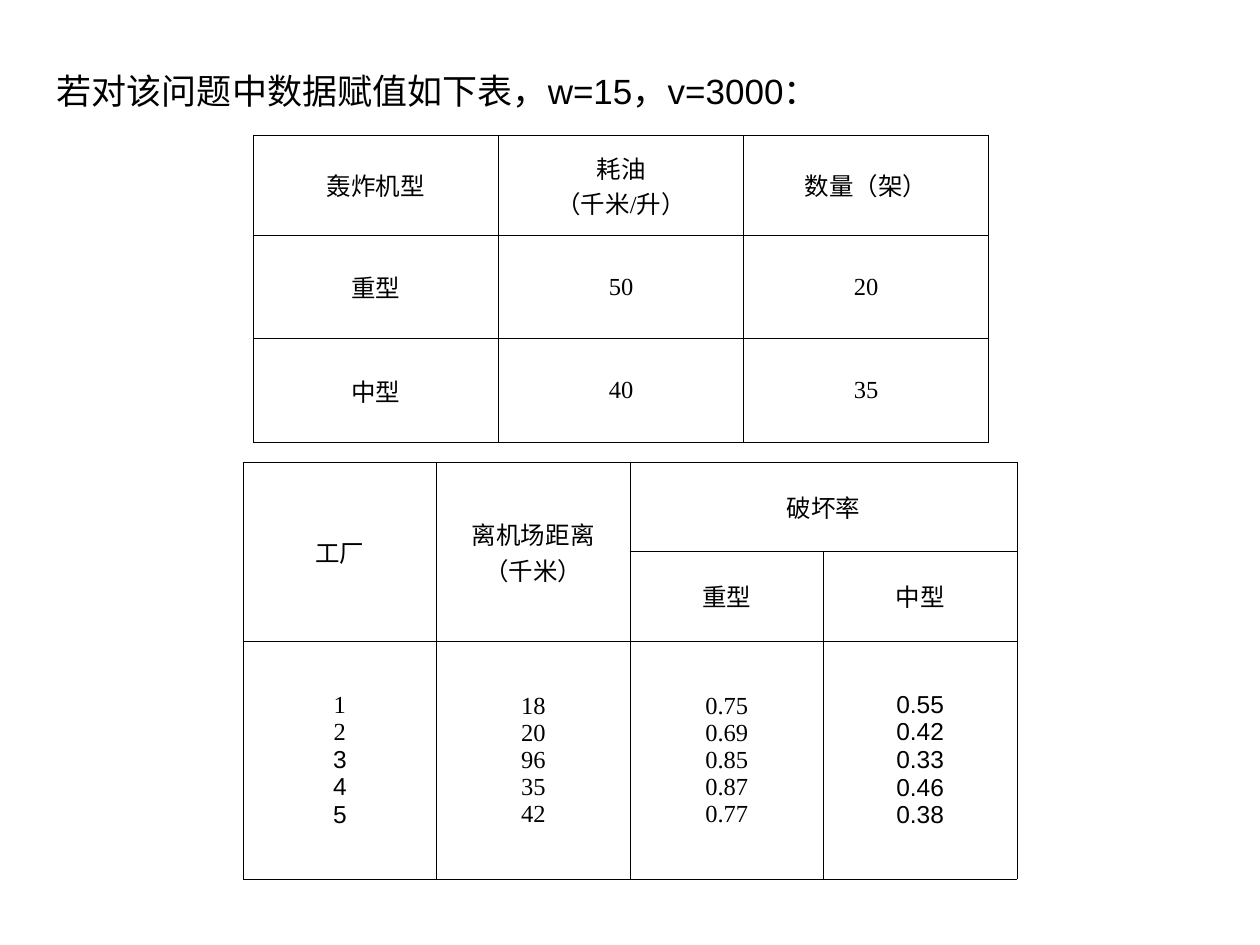
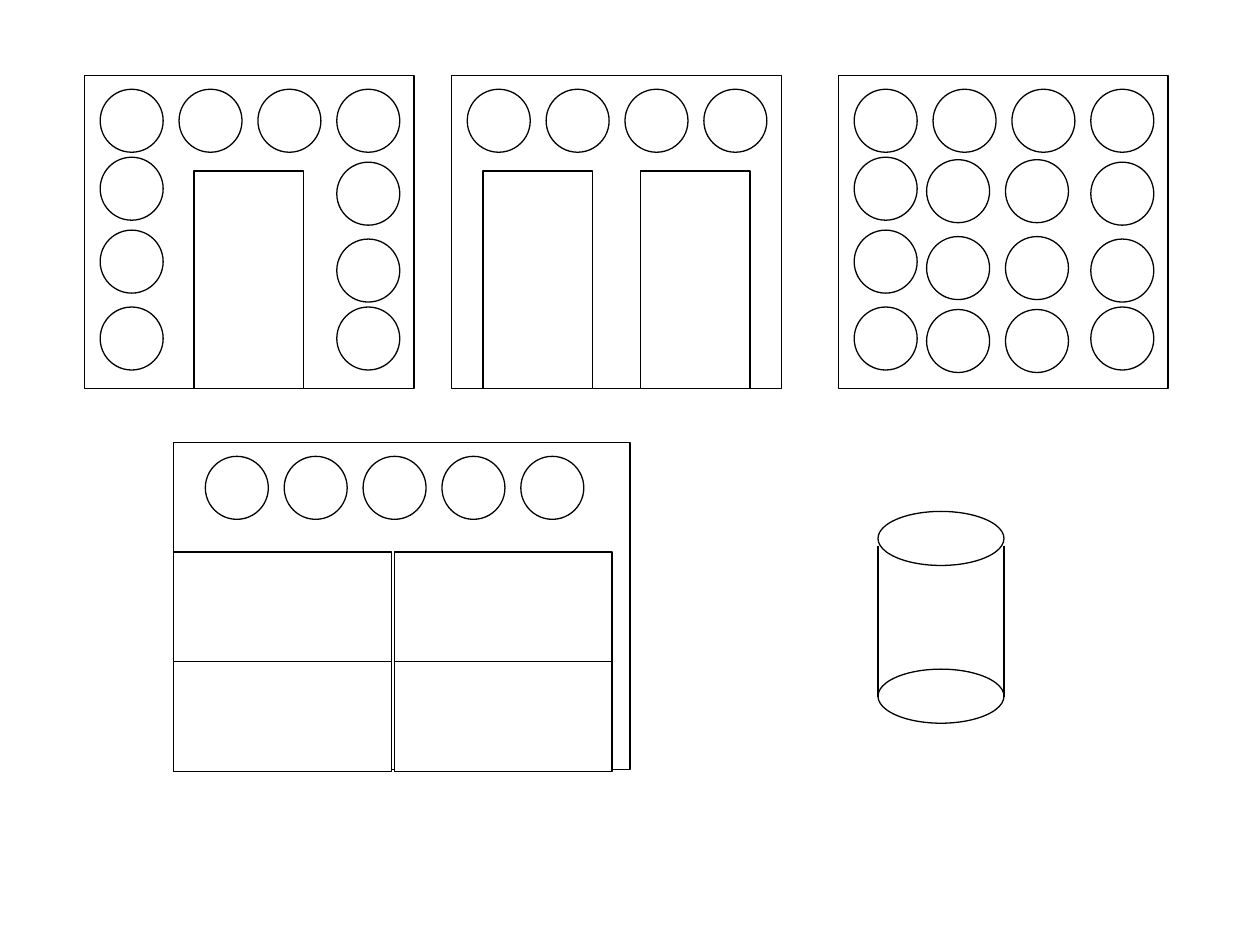
from lxml.etree import SubElement
from pptx import Presentation
from pptx.dml.color import RGBColor
from pptx.enum.shapes import MSO_CONNECTOR, MSO_SHAPE
from pptx.enum.text import MSO_ANCHOR, MSO_AUTO_SIZE, PP_ALIGN
from pptx.oxml.ns import qn
from pptx.util import Cm, Pt

BLACK, WHITE = "000000", "FFFFFF"
SANS, SERIF = "Arial", "Times New Roman"
TITLE_ONLY, BLANK = 5, 6


def rgb(value):
    return RGBColor.from_string(value)


class Deck:
    """Holds the style and the current slide; lengths are in centimetres."""

    def __init__(self):
        self.prs = Presentation()
        self.prs.slide_width, self.prs.slide_height = Cm(25.4), Cm(19.05)
        self.line_width = Pt(0.75)
        self.border_width = Pt(0.45)

    def new_slide(self, layout):
        self.s = self.prs.slides.add_slide(self.prs.slide_layouts[layout])

    def style_text(self, p, align, size, font):
        p.alignment = align
        for r in p.runs:
            r.font.size, r.font.name = Pt(size), font
            r.font.color.rgb = rgb(BLACK)

    def title(self, text, x, y, w, h):
        sp = self.s.shapes.title
        sp.left, sp.top, sp.width, sp.height = Cm(x), Cm(y), Cm(w), Cm(h)
        tf = sp.text_frame
        tf.text = text
        tf.word_wrap = False
        tf.auto_size = MSO_AUTO_SIZE.SHAPE_TO_FIT_TEXT
        tf.vertical_anchor = MSO_ANCHOR.TOP
        self.style_text(tf.paragraphs[0], PP_ALIGN.LEFT, 20, SANS)

    def border(self, cell):
        tcPr = cell._tc.get_or_add_tcPr()
        for side in ("lnL", "lnR", "lnT", "lnB"):
            ln = SubElement(tcPr, qn(f"a:{side}"), w=str(self.border_width))
            fill = SubElement(ln, qn("a:solidFill"))
            SubElement(fill, qn("a:srgbClr"), val=BLACK)

    def table(self, x, y, col_width, heights, rows, merges=()):
        cols = len(rows[0])
        tbl = self.s.shapes.add_table(
            len(rows), cols, Cm(x), Cm(y),
            Cm(col_width * cols), Cm(sum(heights))).table
        tbl.first_row = tbl.horz_banding = False
        for col in tbl.columns:
            col.width = Cm(col_width)
        for i, (height, texts) in enumerate(zip(heights, rows)):
            tbl.rows[i].height = Cm(height)
            for j, text in enumerate(texts):
                cell = tbl.cell(i, j)
                self.border(cell)
                cell.fill.background()
                cell.vertical_anchor = MSO_ANCHOR.MIDDLE
                cell.text_frame.text = text
                for p in cell.text_frame.paragraphs:
                    self.style_text(p, PP_ALIGN.CENTER, 14, SERIF)
        for first, last in merges:
            tbl.cell(*first).merge(tbl.cell(*last))
        return tbl

    def group(self):
        return self.s.shapes.add_group_shape()

    def shape(self, grp, kind, x, y, w, h):
        sp = grp.shapes.add_shape(kind, Cm(x), Cm(y), Cm(w), Cm(h))
        sp.shadow.inherit = False
        sp.fill.solid()
        sp.fill.fore_color.rgb = rgb(WHITE)
        sp.line.color.rgb = rgb(BLACK)
        sp.line.width = self.line_width

    def rect(self, grp, x, y, w, h):
        self.shape(grp, MSO_SHAPE.RECTANGLE, x, y, w, h)

    def ellipse(self, grp, x, y, w, h):
        self.shape(grp, MSO_SHAPE.OVAL, x, y, w, h)

    def line(self, grp, x1, y1, x2, y2):
        cn = grp.shapes.add_connector(
            MSO_CONNECTOR.STRAIGHT, Cm(x1), Cm(y1), Cm(x2), Cm(y2))
        cn.line.color.rgb = rgb(BLACK)
        cn.line.width = self.line_width
        SubElement(cn._element.spPr, qn("a:effectLst"))

    def panel(self, x, y, w, h, circles, blocks=(), block_size=(0, 0)):
        """A frame with circles and blocks placed from its top left corner."""
        grp = self.group()
        self.rect(grp, x, y, w, h)
        for dx, dy in circles:
            self.ellipse(grp, x + dx, y + dy, 1.27, 1.27)
        for dx, dy in blocks:
            self.rect(grp, x + dx, y + dy, *block_size)


def data_slide(deck):
    deck.new_slide(TITLE_ONLY)
    deck.title("若对该问题中数据赋值如下表，w=15，v=3000：", 0.89, 1.27, 16.54, 1.12)

    # Bomber types
    deck.table(5.11, 2.72, 4.94, [2.03, 2.08, 2.08], [
        ["轰炸机型", "耗油\n（千米/升）", "数量（架）"],
        ["重型", "50", "20"],
        ["中型", "40", "35"],
    ])

    # Factories
    factories = [
        ("1", "18", "0.75", "0.55"),
        ("2", "20", "0.69", "0.42"),
        ("3", "96", "0.85", "0.33"),
        ("4", "35", "0.87", "0.46"),
        ("5", "42", "0.77", "0.38"),
    ]
    tbl = deck.table(4.9, 9.32, 3.9, [1.8, 1.8, 4.8], [
        ["工厂", "离机场距离（千米）", "破坏率", ""],
        ["", "", "重型", "中型"],
        ["\n".join(column) for column in zip(*factories)],
    ], merges=[((0, 0), (1, 0)), ((0, 1), (1, 1)), ((0, 2), (0, 3))])
    numbers = tbl.cell(2, 0).text_frame.paragraphs[2:]
    medium_rates = tbl.cell(2, 3).text_frame.paragraphs
    for p in (*numbers, *medium_rates):
        deck.style_text(p, PP_ALIGN.CENTER, 14, SANS)


def packing_slide(deck):
    deck.new_slide(BLANK)
    pitch, top = 1.59, 0.28
    long_side, short_side = 4.39, 2.21
    frame = (6.65, 6.32)
    row = [(0.32 + pitch * i, top) for i in range(4)]
    left = [(0.32, dy) for dy in (1.65, 3.12, 4.67)]
    right = [(0.32 + pitch * 3, dy) for dy in (1.75, 3.3, 4.67)]
    inner = [(1.78 + pitch * i, dy) for dy in (1.7, 3.25, 4.72) for i in range(2)]

    # Three square frames
    upright = (short_side, long_side)
    deck.panel(1.7, 1.52, *frame, row + left + right, [(2.21, 1.93)], upright)
    deck.panel(9.1, 1.52, *frame, row, [(0.64, 1.93), (3.81, 1.93)], upright)
    deck.panel(16.9, 1.52, *frame, row + left + right + inner)

    # Wide frame with lying blocks
    wide_row = [(0.64 + pitch * i, top) for i in range(5)]
    lying = [(dx, short_side * i) for dx in (0, 4.45) for i in (1, 2)]
    deck.panel(3.5, 8.92, 9.2, 6.6, wide_row, lying, (long_side, short_side))

    # Cylinder
    grp = deck.group()
    x, w = 17.7, 2.54
    for y in (10.31, 13.49):
        deck.ellipse(grp, x, y, w, 1.09)
    for side in (x, x + w):
        deck.line(grp, side, 11, side, 14.05)


def main():
    deck = Deck()
    data_slide(deck)
    packing_slide(deck)
    deck.prs.save("out.pptx")


if __name__ == "__main__":
    main()
